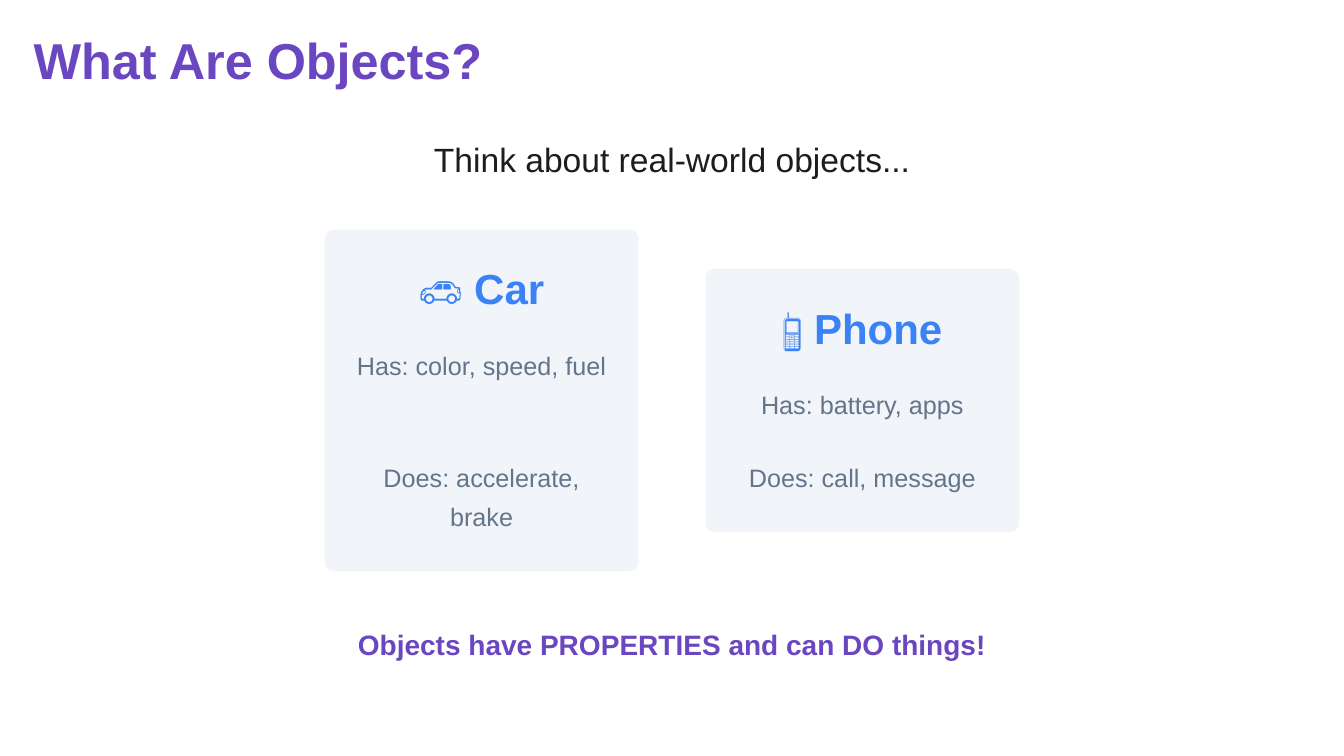
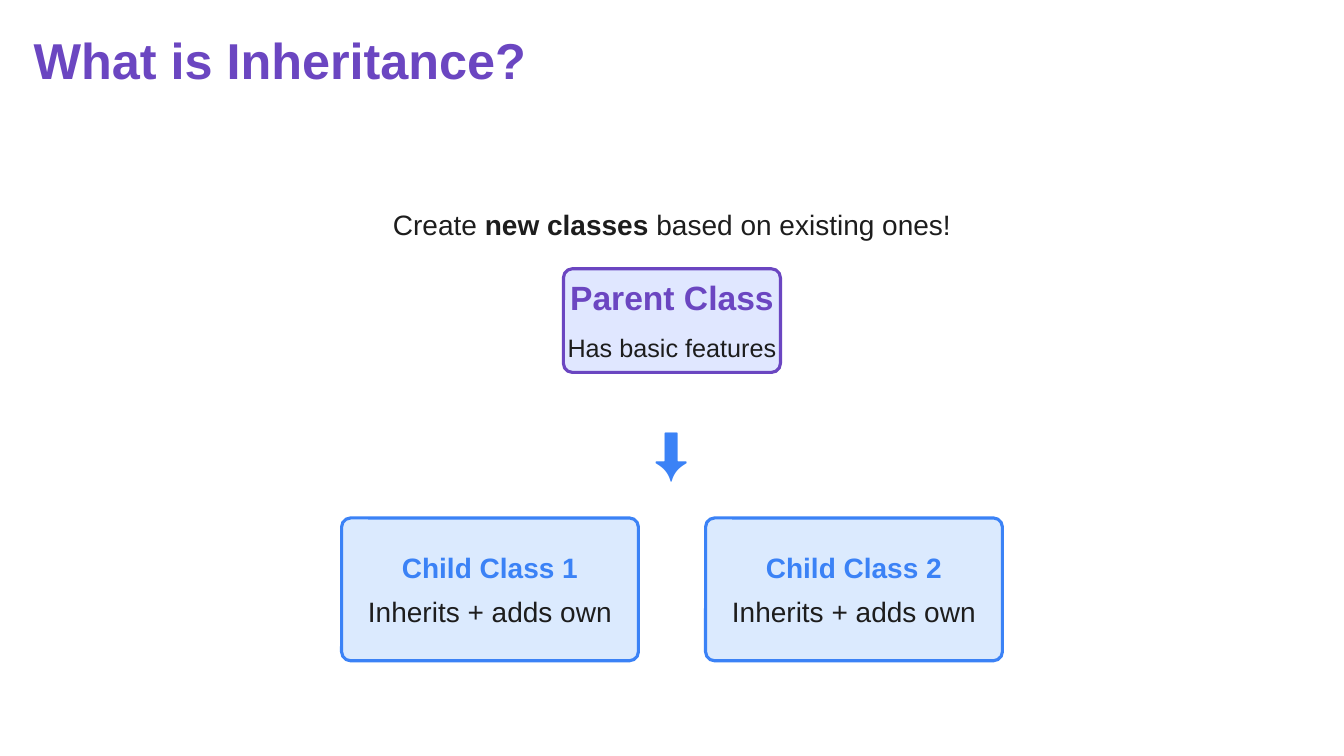
from pptx import Presentation
from pptx.dml.color import RGBColor
from pptx.enum.shapes import MSO_SHAPE
from pptx.enum.text import MSO_ANCHOR as Anchor, MSO_AUTO_SIZE as AutoSize, PP_ALIGN as Align
from pptx.util import Pt

PURPLE = RGBColor(0x6B, 0x46, 0xC1)
BLUE = RGBColor(0x3B, 0x82, 0xF6)
INK = RGBColor(0x1D, 0x1D, 0x1D)
SLATE = RGBColor(0x64, 0x74, 0x8B)
CARD_FILL = RGBColor(0xF1, 0xF5, 0xF9)
PARENT_FILL = RGBColor(0xE0, 0xE7, 0xFF)
CHILD_FILL = RGBColor(0xDB, 0xEA, 0xFE)

SLIDE_W, SLIDE_H = 960, 540
GAP = 48      # between two boxes in a row
RADIUS = 6.4  # corner of every box

# Text styles: size, line height, colour, bold
TITLE = (36, 40, PURPLE, True)
LEAD = (24, 32, INK, False)
CARD_HEAD = (30, 36, BLUE, True)
CARD_BODY = (18, 28, SLATE, False)
SUMMARY = (20, 28, PURPLE, True)
BODY = (20, 28, INK, False)
PARENT_HEAD = (24, 32, PURPLE, True)
PARENT_BODY = (18, 28, INK, False)
ARROW = (40, 56, BLUE, False)
CHILD_HEAD = (20, 28, BLUE, True)


def write(frame, lines, align=Align.CENTER, inset_x=0, inset_top=0):
    """Fill a frame with (text, style, space before); **marks** set bold."""
    frame_format = {
        "word_wrap": True, "auto_size": AutoSize.NONE, "vertical_anchor": Anchor.TOP,
        "margin_left": Pt(inset_x), "margin_right": Pt(inset_x),
        "margin_top": Pt(inset_top), "margin_bottom": 0,
    }
    for name, value in frame_format.items():
        setattr(frame, name, value)
    for i, (text, (size, line_height, color, bold), before) in enumerate(lines):
        paragraph = frame.paragraphs[0] if i == 0 else frame.add_paragraph()
        paragraph_format = {"alignment": align, "line_spacing": Pt(line_height),
                            "space_before": Pt(before)}
        for name, value in paragraph_format.items():
            setattr(paragraph, name, value)
        for j, part in enumerate(text.split("**")):
            run = paragraph.add_run()
            run.text = part
            run_format = {"name": "Arial", "size": Pt(size), "bold": bold or j % 2 == 1}
            for name, value in run_format.items():
                setattr(run.font, name, value)
            run.font.color.rgb = color


def add_box(slide, left, top, width, height, fill, border, lines, inset_x, inset_top):
    """Rounded box with its own text; border may be None."""
    box = slide.shapes.add_shape(MSO_SHAPE.ROUNDED_RECTANGLE,
                                 Pt(left), Pt(top), Pt(width), Pt(height))
    box.shadow.inherit = False
    box.adjustments[0] = RADIUS / min(width, height)
    box.fill.solid()
    box.fill.fore_color.rgb = fill
    if border is None:
        box.line.fill.background()
    else:
        box.line.color.rgb = border
        box.line.width = Pt(2.25)
    write(box.text_frame, lines, inset_x=inset_x, inset_top=inset_top)


prs = Presentation()
prs.slide_width, prs.slide_height = Pt(SLIDE_W), Pt(SLIDE_H)
title_only = prs.slide_layouts[5]

# Titles and centred lines: text, style, top, width
pages = [
    ("What Are Objects?", [
        ("Think about real-world objects...", LEAD, 96, 347),
        ("Objects have PROPERTIES and can DO things!", SUMMARY, 444, 456),
    ]),
    ("What is Inheritance?", [
        ("Create **new classes** based on existing ones!", BODY, 144, 406),
        ("⬇️", ARROW, 290, 51),
    ]),
]
slides = []
for heading, centred_lines in pages:
    slide = prs.slides.add_slide(title_only)
    slides.append(slide)
    title = slide.shapes.title
    title.left, title.top, title.width, title.height = Pt(24), Pt(24), Pt(466), Pt(40)
    write(title.text_frame, [(heading, TITLE, 0)], align=Align.LEFT)
    for text, style, top, width in centred_lines:
        centred = slide.shapes.add_textbox(Pt((SLIDE_W - width) / 2), Pt(top),
                                           Pt(width), Pt(style[1]))
        write(centred.text_frame, [(text, style, 0)])
objects_slide, inheritance_slide = slides

# Real-world objects: two cards centred on one line
CARD_W, CARD_MIDDLE = 224, 286
cards = [
    ("🚗 Car", "Has: color, speed, fuel", "Does: accelerate, brake", 244, 52),
    ("📱 Phone", "Has: battery, apps", "Does: call, message", 188, 24),
]
for i, (thing, has, does, height, does_gap) in enumerate(cards):
    left = SLIDE_W / 2 - GAP / 2 - CARD_W + i * (CARD_W + GAP)
    card_lines = [(thing, CARD_HEAD, 0), (has, CARD_BODY, 20), (does, CARD_BODY, does_gap)]
    add_box(objects_slide, left, CARD_MIDDLE - height / 2, CARD_W, height,
            CARD_FILL, None, card_lines, 20, 22)

# Parent class
PARENT_W = 155
parent_lines = [("Parent Class", PARENT_HEAD, 0), ("Has basic features", PARENT_BODY, 4)]
add_box(inheritance_slide, (SLIDE_W - PARENT_W) / 2, 192, PARENT_W, 74,
        PARENT_FILL, PURPLE, parent_lines, 0, 1)

# Child classes
CHILD_W = 212
for i in range(2):
    left = SLIDE_W / 2 - GAP / 2 - CHILD_W + i * (CHILD_W + GAP)
    child_lines = [(f"Child Class {i + 1}", CHILD_HEAD, 0), ("Inherits + adds own", BODY, 4)]
    add_box(inheritance_slide, left, 370, CHILD_W, 102,
            CHILD_FILL, BLUE, child_lines, 15, 17)

prs.save("out.pptx")
